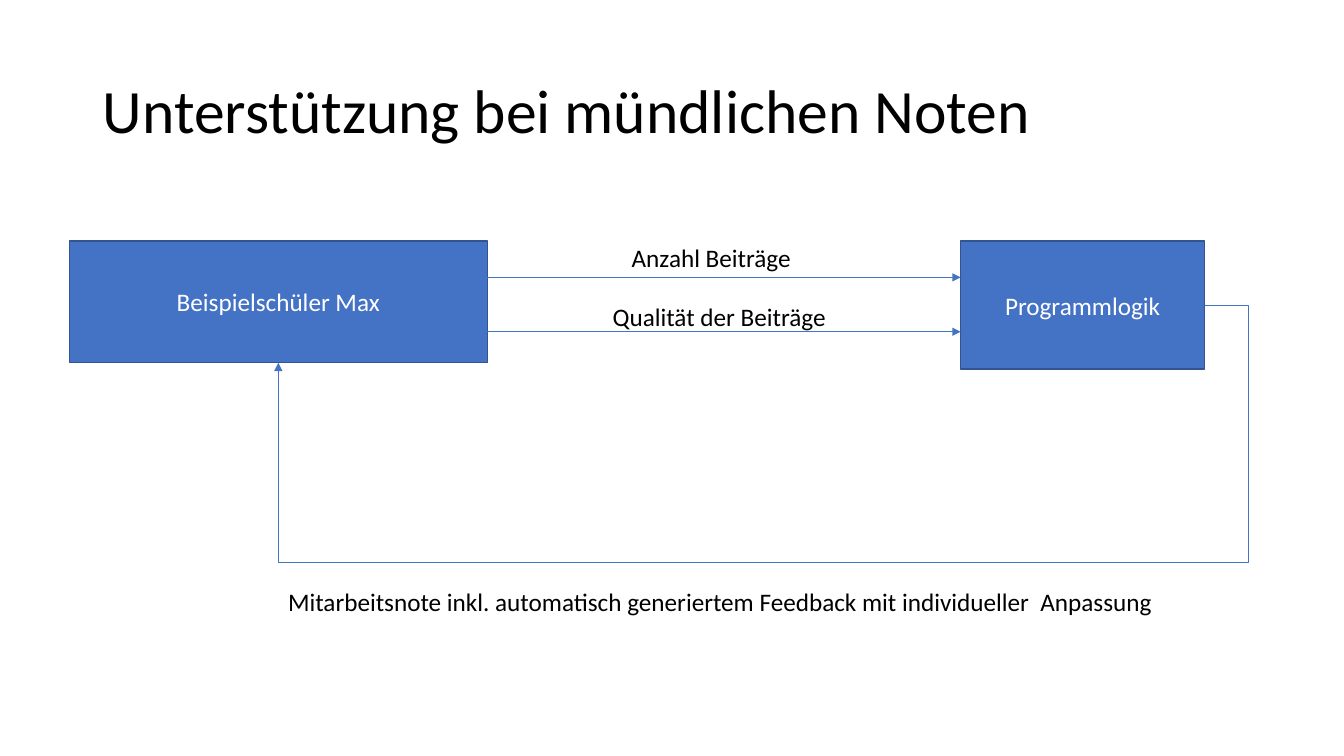
from lxml import etree
from pptx import Presentation
from pptx.dml.color import RGBColor
from pptx.enum.shapes import MSO_CONNECTOR, MSO_SHAPE
from pptx.enum.text import MSO_ANCHOR, MSO_AUTO_SIZE, PP_ALIGN
from pptx.oxml.ns import qn
from pptx.util import Cm, Pt

RECTANGLE = MSO_SHAPE.RECTANGLE
STRAIGHT, ELBOW = MSO_CONNECTOR.STRAIGHT, MSO_CONNECTOR.ELBOW
LEFT, CENTER = PP_ALIGN.LEFT, PP_ALIGN.CENTER
RIGHT_SITE, BOTTOM_SITE = 3, 2

FONT = "Calibri"
COLORS = {"box": "4472C4", "border": "325491", "text": "000000", "box_text": "FFFFFF"}

# Positions are left, top, width, height in centimetres.
TITLE = ("Unterstützung bei mündlichen Noten", (2.34, 1.02, 29.21, 3.68))
STUDENT = ("Beispielschüler Max", (1.75, 6.07, 10.53, 3.07))
PROGRAM = ("Programmlogik", (24.21, 6.07, 6.15, 3.23))
LABELS = [
    ("Anzahl Beiträge", (15.67, 5.99, 7.9, 1.02)),
    ("Qualität der Beiträge", (15.19, 7.47, 9.0, 1.02)),
    ("Mitarbeitsnote inkl. automatisch generiertem Feedback mit individueller  Anpassung",
     (7.01, 14.66, 25.22, 1.98)),
]
ARROW_TOPS = [6.99, 8.36]
LOOP_RIGHT, LOOP_BOTTOM = 31.45, 14.17


def color(name):
    return RGBColor.from_string(COLORS[name])


def lengths(values):
    return [Cm(value) for value in values]


def write(shape, text, size, color_name, alignment):
    shape.text_frame.word_wrap = True
    paragraph = shape.text_frame.paragraphs[0]
    paragraph.text = text
    paragraph.alignment = alignment
    paragraph.font.name = FONT
    paragraph.font.size = Pt(size)
    paragraph.font.color.rgb = color(color_name)
    return paragraph


def add_box(slide, text, position):
    box = slide.shapes.add_shape(RECTANGLE, *lengths(position))
    box.shadow.inherit = False
    box.fill.solid()
    box.fill.fore_color.rgb = color("box")
    box.line.color.rgb = color("border")
    box.line.width = Pt(1)
    box.text_frame.vertical_anchor = MSO_ANCHOR.MIDDLE
    write(box, text, 18, "box_text", CENTER)
    return box


def add_arrow(slide, kind, *ends):
    arrow = slide.shapes.add_connector(kind, *ends)
    arrow.line.color.rgb = color("box")
    arrow.line.width = Pt(0.5)
    etree.SubElement(arrow.line._get_or_add_ln(), qn("a:tailEnd"), type="triangle")
    etree.SubElement(arrow._element.spPr, qn("a:effectLst"))
    return arrow


def add_feedback_loop(slide, program, student):
    """Lead from the program's right side around and up into the student's bottom."""
    loop = add_arrow(slide, ELBOW, 0, 0, Cm(1), Cm(1))
    loop.begin_connect(program, RIGHT_SITE)
    loop.end_connect(student, BOTTOM_SITE)
    geometry = loop._element.spPr.find(qn("a:prstGeom"))
    geometry.set("prst", "bentConnector4")
    guides = geometry.find(qn("a:avLst"))
    if guides is None:
        guides = etree.SubElement(geometry, qn("a:avLst"))
    bends = {
        "adj1": (Cm(LOOP_RIGHT) - loop.begin_x) / (loop.end_x - loop.begin_x),
        "adj2": (Cm(LOOP_BOTTOM) - loop.begin_y) / (loop.end_y - loop.begin_y),
    }
    for name, share in bends.items():
        etree.SubElement(guides, qn("a:gd"), name=name, fmla=f"val {round(share * 100000)}")


def main():
    presentation = Presentation()
    presentation.slide_width, presentation.slide_height = Cm(33.87), Cm(19.05)
    slide = presentation.slides.add_slide(presentation.slide_layouts[5])

    title_text, title_position = TITLE
    title = slide.shapes.title
    title.left, title.top, title.width, title.height = lengths(title_position)
    title.text_frame.auto_size = MSO_AUTO_SIZE.NONE
    title.text_frame.vertical_anchor = MSO_ANCHOR.MIDDLE
    write(title, title_text, 44, "text", LEFT).line_spacing = 0.9

    student = add_box(slide, *STUDENT)
    program = add_box(slide, *PROGRAM)
    for top in ARROW_TOPS:
        add_arrow(slide, STRAIGHT, student.left + student.width, Cm(top), program.left, Cm(top))
    for text, position in LABELS:
        label = slide.shapes.add_textbox(*lengths(position))
        write(label, text, 18, "text", LEFT)
    add_feedback_loop(slide, program, student)

    presentation.save("out.pptx")


if __name__ == "__main__":
    main()
